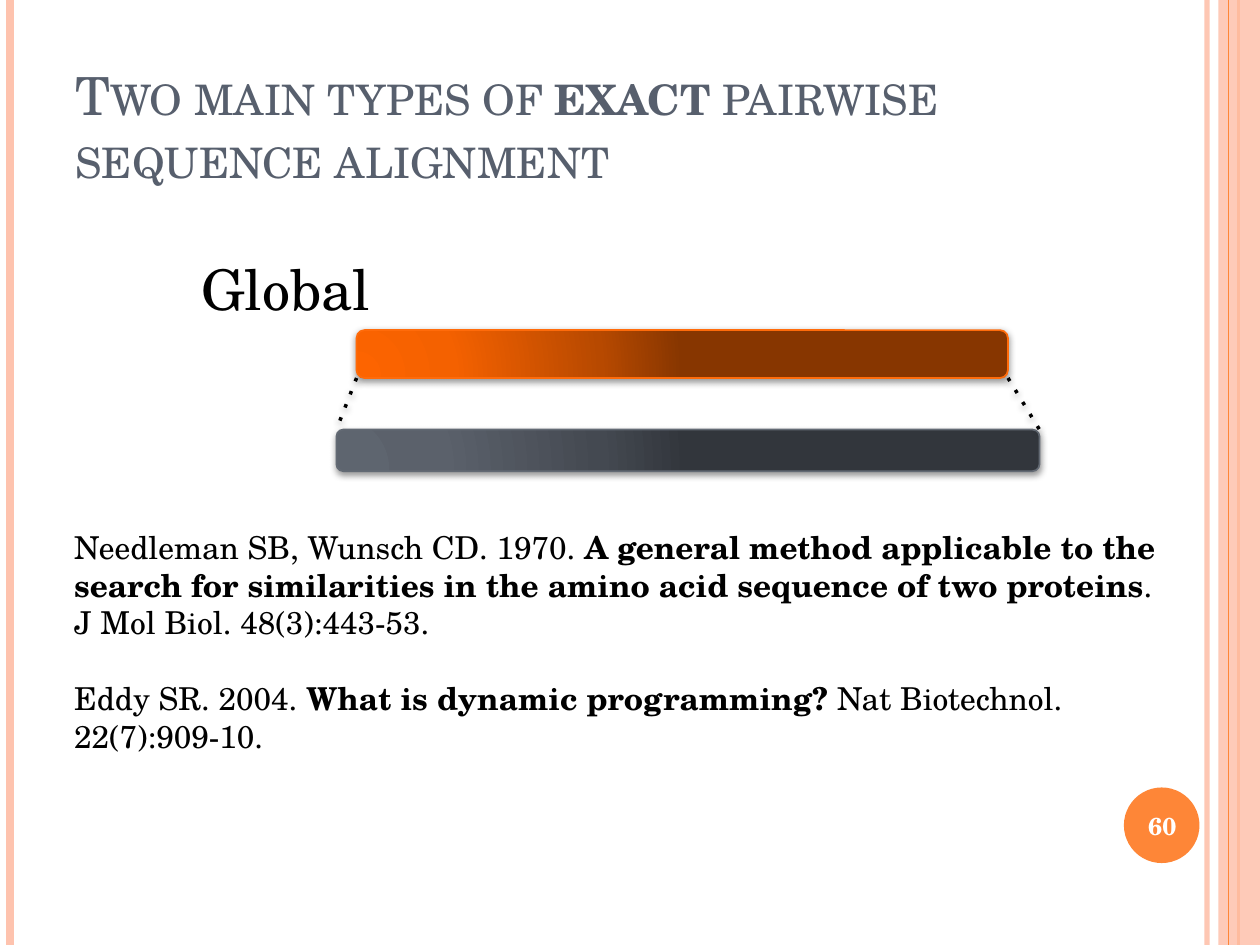
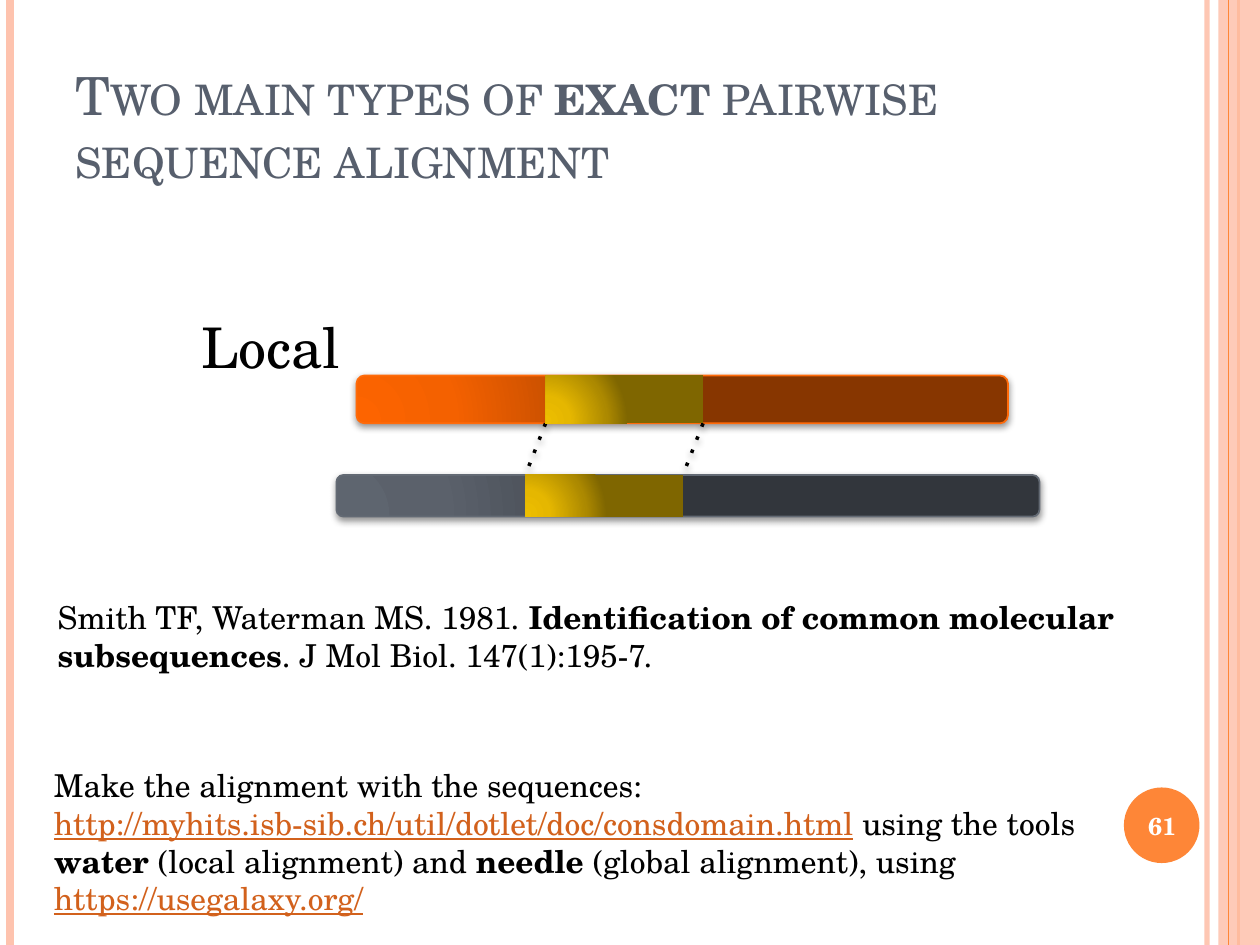
from dataclasses import dataclass
from typing import Optional

from lxml import etree
from pptx import Presentation
from pptx import util as u
from pptx.dml.color import RGBColor
from pptx.enum import dml, shapes, text
from pptx.oxml import ns

FONT = "TeX Gyre Schola"
COLORS = {
    "title": "575F6D",
    "text": "000000",
    "white": "FFFFFF",
    "link": "D2611C",
    "pale": "FEC3AE",
    "orange": "FE8637",
    "top_edge": "FF6B0A",
    "bottom_edge": "636A74",
}
GRADIENTS = {
    "top": ("FD6400", "F46100", "B74900", "873600"),
    "bottom": ("5E656F", "5B616B", "444951", "32363C"),
    "match": ("EDBE00", "E5B700", "AC8900", "7F6600"),
}
STOPS = (0, 30, 75, 100)
GRADIENT_FOCUS = {"l": 5, "t": 100, "r": 120, "b": 10}
BAR_PITCH = 0.79
SHAPE = shapes.MSO_SHAPE
ANCHOR = text.MSO_ANCHOR


@dataclass(frozen=True)
class Span:
    words: str
    bold: bool = False
    link: bool = False


@dataclass(frozen=True)
class Style:
    size: float
    color: str = "text"
    bold: bool = False
    small_caps: bool = False
    anchor: ANCHOR = ANCHOR.TOP
    align: text.PP_ALIGN = text.PP_ALIGN.LEFT
    wrap: bool = True
    gap: float = 0


@dataclass(frozen=True)
class Area:
    left: float
    top: float
    width: float
    height: float


@dataclass(frozen=True)
class Rule:
    x: float
    color: str
    weight: float
    opacity: int = 100


@dataclass(frozen=True)
class Bar:
    name: str
    left: float
    width: float
    height: float


@dataclass(frozen=True)
class Note:
    area: Area
    paragraphs: tuple[tuple[Span, ...], ...]


@dataclass(frozen=True)
class Alignment:
    number: int
    label: str
    label_area: Area
    bars_top: float
    links: tuple[tuple[float, float], ...]
    notes: tuple[Note, ...]
    match_width: Optional[float] = None


TITLE_STYLE = Style(30, "title", small_caps=True, anchor=ANCHOR.BOTTOM)
NUMBER_STYLE = Style(14, "white", bold=True, anchor=ANCHOR.MIDDLE, align=text.PP_ALIGN.CENTER)
LABEL_STYLE = Style(32, wrap=False)
NOTE_STYLE = Style(18, gap=21.6)
TITLE = (Span("Two main types of "), Span("exact", bold=True), Span(" pairwise sequence alignment"))
RULES_BEHIND = (Rule(9.58, "pale", 3, 93), Rule(0.08, "pale", 4.5), Rule(9.83, "orange", 1.5))
RULE_FRONT = Rule(9.75, "orange", 0.75)
BARS = (Bar("top", 2.83, 5.17, 0.38), Bar("bottom", 2.67, 5.58, 0.33))

ALIGNMENTS = (
    Alignment(
        60, "Global", Area(1.5, 1.97, 1.56, 0.64), 2.62, ((2.83, 2.67), (8, 8.25)),
        (Note(Area(0.49, 4.14, 8.92, 2.22), (
            (Span("Needleman SB, Wunsch CD. 1970. "),
             Span("A general method applicable to the search for similarities "
                  "in the amino acid sequence of two proteins", bold=True),
             Span(". J Mol Biol. 48(3):443-53.")),
            (Span("Eddy SR. 2004. "),
             Span("What is dynamic programming? ", bold=True),
             Span("Nat Biotechnol. 22(7):909-10.")),
        )),),
    ),
    Alignment(
        61, "Local", Area(1.5, 2.43, 1.32, 0.64), 2.98, ((4.33, 4.17), (5.58, 5.42)),
        (Note(Area(0.36, 4.7, 8.83, 0.71), (
            (Span("Smith TF, Waterman MS. 1981. "),
             Span("Identification of common molecular subsequences", bold=True),
             Span(". J Mol Biol. 147(1):195-7.")),
        )),
         Note(Area(0.33, 6.03, 8.56, 1.01), (
             (Span("Make the alignment with the sequences: "),
              Span("http://myhits.isb-sib.ch/util/dotlet/doc/consdomain.html", link=True),
              Span(" using the tools "),
              Span("water ", bold=True),
              Span("(local alignment) and "),
              Span("needle ", bold=True),
              Span("(global alignment), using "),
              Span("https://usegalaxy.org/", link=True)),
         ))),
        match_width=1.25,
    ),
)


def rgb(name: str) -> RGBColor:
    return RGBColor.from_string(COLORS[name])


def place(area: Area) -> tuple:
    return tuple(u.Inches(n) for n in (area.left, area.top, area.width, area.height))


def child(parent, tag: str, **attributes):
    values = {key: str(value) for key, value in attributes.items()}
    return etree.SubElement(parent, ns.qn(f"a:{tag}"), values)


def set_opacity(drawn, percent: int) -> None:
    for color in drawn._element.spPr.iter(ns.qn("a:srgbClr")):
        child(color, "alpha", val=percent * 1000)


def set_shadow(drawn, opacity: int, distance: float) -> None:
    properties = drawn._element.spPr
    effects = properties.find(ns.qn("a:effectLst"))
    if effects is None:
        effects = child(properties, "effectLst")
    shadow = child(effects, "outerShdw", blurRad=u.Pt(4), dist=u.Pt(distance),
                   dir=5400000, rotWithShape=0)
    color = child(shadow, "srgbClr", val=COLORS["text"])
    child(color, "alpha", val=opacity * 1000)


def set_gradient(shape, name: str) -> None:
    shape.fill.gradient()
    gradient = shape._element.spPr.find(ns.qn("a:gradFill"))
    gradient.clear()
    gradient.set("rotWithShape", "1")
    stops = child(gradient, "gsLst")
    for position, value in zip(STOPS, GRADIENTS[name]):
        stop = child(stops, "gs", pos=position * 1000)
        child(stop, "srgbClr", val=value)
    focus = child(gradient, "path", path="circle")
    child(focus, "fillToRect", **{side: n * 1000 for side, n in GRADIENT_FOCUS.items()})


def add_text(page, area: Area, paragraphs: tuple[tuple[Span, ...], ...], style: Style) -> None:
    box = page.shapes.add_textbox(*place(area))
    frame = box.text_frame
    frame.word_wrap = style.wrap
    frame.vertical_anchor = style.anchor
    for index, spans in enumerate(paragraphs):
        para = frame.add_paragraph() if index else frame.paragraphs[0]
        para.alignment = style.align
        if index:
            para.space_before = u.Pt(style.gap)
        for item in spans:
            span = para.add_run()
            span.text = item.words
            span.font.name = FONT
            span.font.size = u.Pt(style.size)
            span.font.bold = style.bold or item.bold
            span.font.color.rgb = rgb("link" if item.link else style.color)
            if item.link:
                span.font.underline = True
            if style.small_caps:
                span._r.get_or_add_rPr().set("cap", "small")


def add_shape(page, kind: SHAPE, area: Area):
    shape = page.shapes.add_shape(kind, *place(area))
    shape.shadow.inherit = False
    shape.line.fill.background()
    return shape


def add_solid(page, kind: SHAPE, area: Area, color: str):
    shape = add_shape(page, kind, area)
    shape.fill.solid()
    shape.fill.fore_color.rgb = rgb(color)
    return shape


def add_line(page, start: tuple[float, float], end: tuple[float, float], color: str, weight: float):
    line = page.shapes.add_connector(
        shapes.MSO_CONNECTOR.STRAIGHT, *(u.Inches(n) for n in (*start, *end)))
    line.line.color.rgb = rgb(color)
    line.line.width = u.Pt(weight)
    child(line._element.spPr, "effectLst")
    return line


def add_rule(page, rule: Rule) -> None:
    line = add_line(page, (rule.x, 0), (rule.x, 7.5), rule.color, rule.weight)
    if rule.opacity < 100:
        set_opacity(line, rule.opacity)


def add_frame(page, number: int) -> None:
    for rule in RULES_BEHIND:
        add_rule(page, rule)
    band = add_solid(page, SHAPE.RECTANGLE, Area(9.67, 0, 0.33, 7.5), "pale")
    set_opacity(band, 87)
    add_rule(page, RULE_FRONT)
    add_solid(page, SHAPE.OVAL, Area(8.92, 6.25, 0.6, 0.6), "orange")
    add_text(page, Area(0.5, 0.3, 8.17, 1.25), (TITLE,), TITLE_STYLE)
    add_text(page, Area(8.89, 6.27, 0.67, 0.57), ((Span(str(number)),),), NUMBER_STYLE)


def add_bars(page, alignment: Alignment) -> None:
    tops = [alignment.bars_top + row * BAR_PITCH for row in range(len(BARS))]
    for bar, top in zip(BARS, tops):
        shape = add_shape(page, SHAPE.ROUNDED_RECTANGLE, Area(bar.left, top, bar.width, bar.height))
        set_gradient(shape, bar.name)
        shape.line.color.rgb = rgb(f"{bar.name}_edge")
        shape.line.width = u.Pt(1)
        set_shadow(shape, 42, 1.6)
    for upper, lower in alignment.links:
        link = add_line(page, (upper, tops[0] + BARS[0].height), (lower, tops[1]), "text", 2)
        link.line.dash_style = dml.MSO_LINE.ROUND_DOT
        link._element.spPr.find(".//" + ns.qn("a:prstDash")).set("val", "dot")
        set_shadow(link, 40, 2)
    if alignment.match_width:
        for bar, top, left in zip(BARS, tops, alignment.links[0]):
            match = add_shape(page, SHAPE.RECTANGLE,
                              Area(left, top, alignment.match_width, bar.height))
            set_gradient(match, "match")


def add_page(deck, alignment: Alignment) -> None:
    page = deck.slides.add_slide(deck.slide_layouts[6])
    add_frame(page, alignment.number)
    add_text(page, alignment.label_area, ((Span(alignment.label),),), LABEL_STYLE)
    add_bars(page, alignment)
    for note in alignment.notes:
        add_text(page, note.area, note.paragraphs, NOTE_STYLE)


def main() -> None:
    deck = Presentation()
    deck.slide_width = u.Inches(10)
    deck.slide_height = u.Inches(7.5)
    for alignment in ALIGNMENTS:
        add_page(deck, alignment)
    deck.save("out.pptx")


if __name__ == "__main__":
    main()
